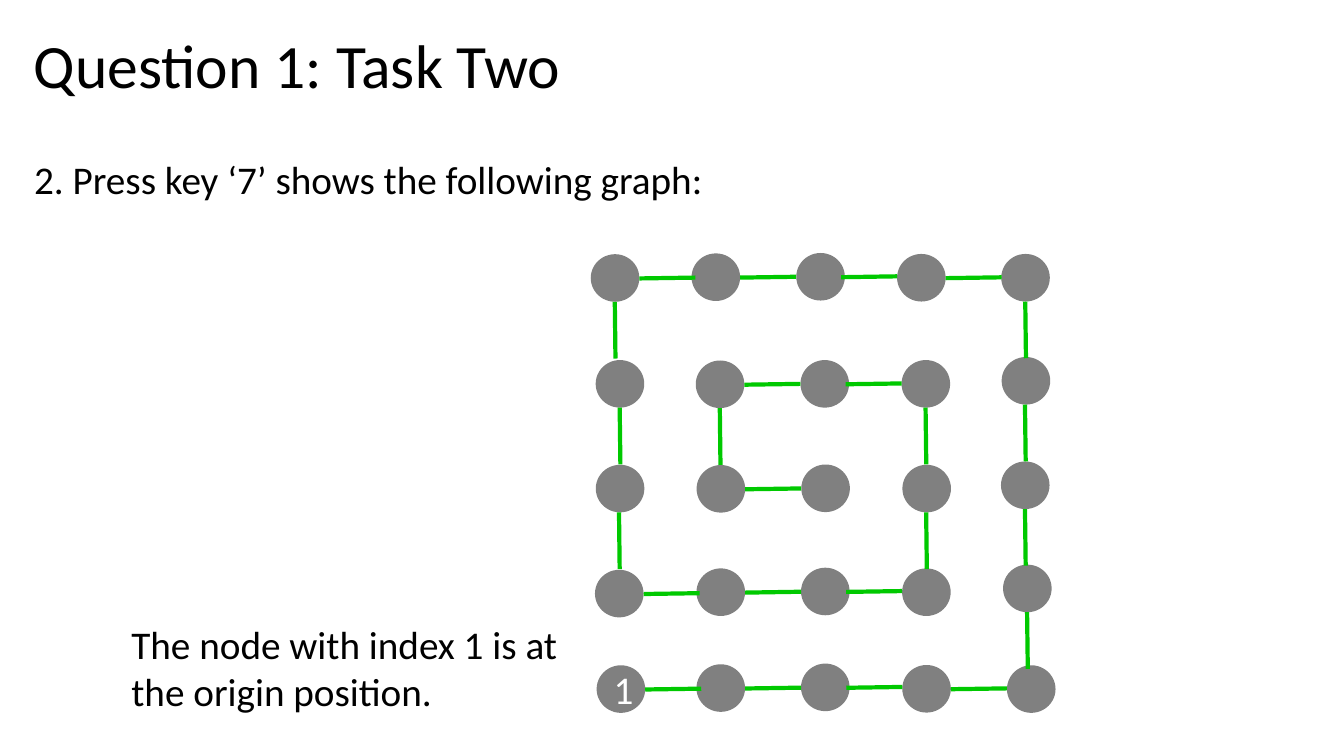
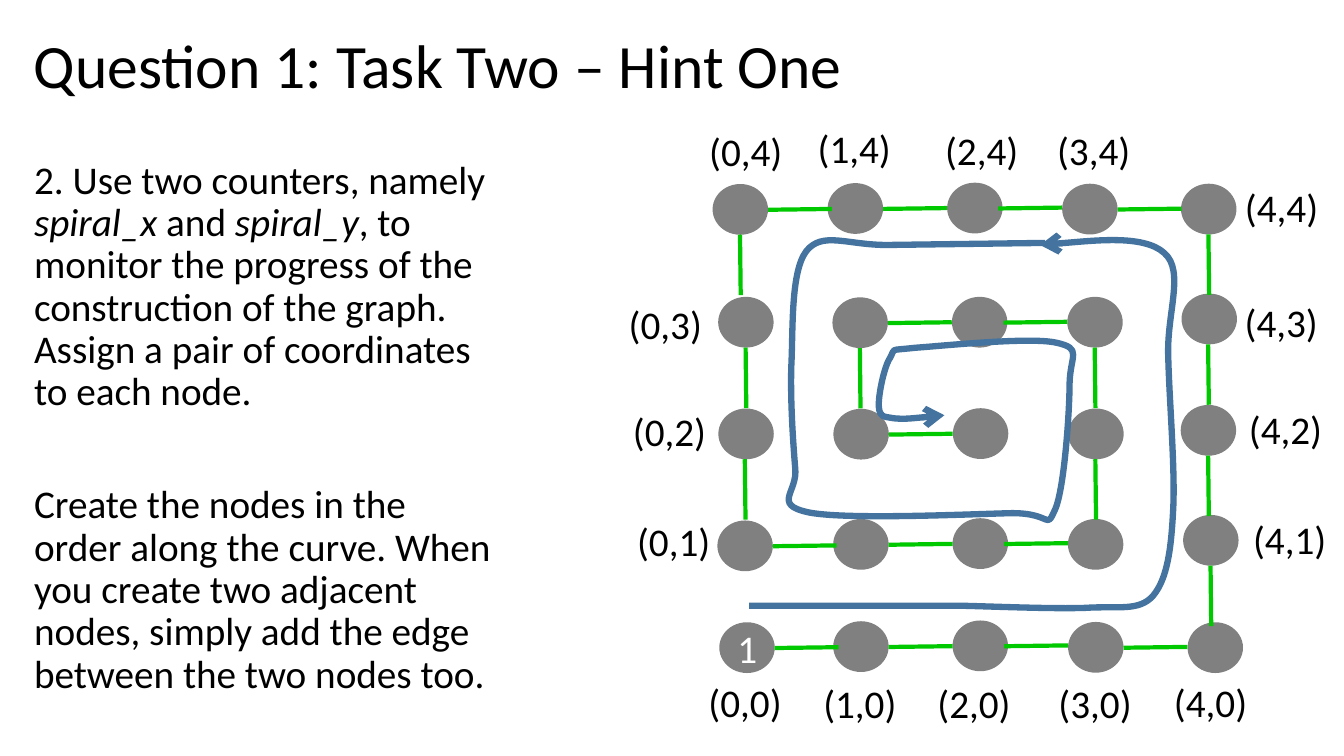
from pptx import Presentation
from pptx.dml.color import RGBColor
from pptx.enum.shapes import MSO_CONNECTOR as LINK, MSO_SHAPE as SHAPE
from pptx.enum.text import MSO_ANCHOR as ANCHOR, MSO_AUTO_SIZE as FIT, PP_ALIGN as ALIGN
from pptx.oxml.ns import qn
from pptx.util import Pt
from lxml import etree

BLACK = RGBColor(0x00, 0x00, 0x00)
WHITE = RGBColor(0xFF, 0xFF, 0xFF)
GREY = RGBColor(0x80, 0x80, 0x80)
GREEN = RGBColor(0x00, 0xC9, 0x00)
BLUE = RGBColor(0x43, 0x73, 0x9E)
FONT = "Calibri"

# Graph grid, bottom row first: lefts and tops of the nodes in each row
ROWS = [
    ((426.2, 497.5, 572.2, 644.5, 719.3), (475.2, 474.5, 474, 475, 475.2)),
    ((425, 497.5, 572.2, 644.4, 716.5), (407, 406, 405.5, 406, 403.3)),
    ((425.6, 497.6, 572.4, 644.6, 715), (332, 332.2, 331.8, 332, 329.6)),
    ((425.5, 497, 571.8, 644, 715.5), (257.2, 257.5, 257.2, 257.2, 255)),
    ((422, 494, 568.8, 640.8, 715.2), (181.6, 181, 180.7, 181.4, 181.4)),
]
WIDE, HIGH = 34.7, 34
LEFT, TOP = 422, 181

# Spiral order of the nodes: step in x, step in y, number of steps
TURNS = [(1, 0, 4), (0, 1, 4), (-1, 0, 4), (0, -1, 3), (1, 0, 3),
         (0, 1, 2), (-1, 0, 2), (0, -1, 1), (1, 0, 1)]
spiral = [(0, 0)]
for dx, dy, count in TURNS:
    for _ in range(count):
        x, y = spiral[-1]
        spiral.append((x + dx, y + dy))


def write(frame, paras, size=28, color=BLACK, lines=1.0, gap=0):
    """Fill a frame with paragraphs, each a list of (text, italic) runs."""
    frame.auto_size = FIT.NONE
    for i, runs in enumerate(paras):
        para = frame.paragraphs[0] if i == 0 else frame.add_paragraph()
        para.alignment = ALIGN.LEFT
        para.line_spacing = lines
        para.space_before = Pt(gap if i else 0)
        for text, slant in runs:
            run = para.add_run()
            run.text = text
            run.font.name, run.font.size = FONT, Pt(size)
            run.font.italic = slant
            run.font.color.rgb = color


def graph(slide, left, top, wide, high):
    """Draw the spiral graph from a top left corner, scaled to the node size."""
    group = slide.shapes.add_group_shape().shapes
    sx, sy = wide / WIDE, high / HIGH
    spots = []
    for col, row in spiral:
        lefts, tops = ROWS[row]
        x = left + (lefts[col] - LEFT) * sx
        y = top + (tops[col] - TOP) * sy
        spots.append((x, y))
        node = group.add_shape(SHAPE.OVAL, Pt(x), Pt(y), Pt(wide), Pt(high))
        node.shadow.inherit = False
        node.fill.solid()
        node.fill.fore_color.rgb = GREY
        node.line.fill.background()
        if (col, row) == (0, 0):
            write(node.text_frame, [[("1", False)]], color=WHITE)
            node.text_frame.paragraphs[0].alignment = ALIGN.CENTER
            node.text_frame.vertical_anchor = ANCHOR.MIDDLE

    # Edges have one length and a slight tilt
    for i, (a, b) in enumerate(zip(spots, spots[1:])):
        (col, row), (col2, row2) = spiral[i:i + 2]
        if row == row2:
            a, b = sorted((a, b))
            start = b[0] - 40 * sx if min(col, col2) == 2 else a[0] + wide
            mid = a[1] + high / 2
            ends = (start, mid + 0.3, start + 40 * sx, mid - 0.3)
        else:
            mid = min(a[0], b[0]) + wide / 2
            rim = min(a[1], b[1]) + high
            ends = (mid + 0.3, rim + 40.5 * sy, mid - 0.2, rim)
        edge = group.add_connector(LINK.STRAIGHT, *[Pt(v) for v in ends])
        edge.line.color.rgb = GREEN
        edge.line.width = Pt(3)
        etree.SubElement(edge._element.spPr, qn("a:effectLst"))


deck = Presentation()
deck.slide_width, deck.slide_height = Pt(960), Pt(540)

# Title and body text of each slide
PAGES = [
    ("Question 1: Task Two", 928,
     [[("2. Press key ‘7’ shows the following graph:", False)]]),
    ("Question 1: Task Two – Hint One", 348.5,
     [[("2. Use two counters, namely ", False), ("spiral_x", True),
       (" and ", False), ("spiral_y", True),
       (", to monitor the progress of the construction of the graph. "
        "Assign a pair of coordinates to each node.", False)],
      [("Create the nodes in the order along the curve. When you create two "
        "adjacent nodes, simply add the edge between the two nodes too.", False)]]),
]
slides = []
for head, span, paras in PAGES:
    slide = deck.slides.add_slide(deck.slide_layouts[5])
    title = slide.shapes.title
    title.left, title.top, title.width, title.height = Pt(17), Pt(-3.2), Pt(828), Pt(104.4)
    title.text_frame.vertical_anchor = ANCHOR.MIDDLE
    write(title.text_frame, [[(head, False)]], size=44, lines=0.9)
    body = slide.shapes.add_textbox(Pt(17.3), Pt(111), Pt(span), Pt(412.5))
    body.text_frame.word_wrap = True
    write(body.text_frame, paras, lines=0.9, gap=50.4)
    slides.append(slide)
task, hint = slides

# Task slide: graph and note on its first node
graph(task, LEFT, TOP, WIDE, HIGH)
note = task.shapes.add_textbox(Pt(86.8), Pt(439.6), Pt(324), Pt(75))
note.text_frame.word_wrap = True
write(note.text_frame, [[("The node with index 1 is at the origin position.", False)]])

# Hint slide: stretched graph with coordinates around it
graph(hint, 509, 130.8, 39.6, 36.25)
LABELS = {
    (0, 0): (499, 481), (1, 0): (581, 481.5), (2, 0): (662.5, 481.5),
    (3, 0): (749, 481.5), (4, 0): (831.5, 481),
    (4, 1): (888, 364.5), (4, 2): (885, 286), (4, 3): (882, 209.5),
    (4, 4): (882.2, 127.7), (3, 4): (748, 87), (2, 4): (668, 86.5),
    (1, 4): (577, 85), (0, 4): (499.5, 87.4),
    (0, 3): (442, 211), (0, 2): (445, 287.5), (0, 1): (448, 366),
}
for (col, row), (x, y) in LABELS.items():
    label = hint.shapes.add_textbox(Pt(x), Pt(y), Pt(67.7), Pt(41))
    label.text_frame.word_wrap = False
    write(label.text_frame, [[(f"({col},{row})", False)]])

# Curved arrows: pairs are straight steps, sixes are Bézier curves
OUTER = [
    (535, 432.7), (613, 432.7), (687.5, 432.7),
    (714, 433.4, 753, 435, 775.4, 434.2),
    (798.5, 432.7, 813.6, 437, 823.7, 425.5),
    (833.8, 413.3, 836.6, 392.4, 838, 363.6),
    (839.5, 335.5, 835.2, 285.8, 834.5, 255.6),
    (833, 224.6, 846.7, 193.7, 831.6, 180.7),
    (816.5, 167, 743, 175, 743, 175),
]
INNER = [
    (746.6, 173.5), (633.6, 175),
    (604.8, 175, 587.5, 165, 576, 179.3),
    (564.5, 194.4, 566.6, 236.2, 565.2, 262),
    (564.5, 288, 566.6, 316.8, 568, 334),
    (570.2, 351.4, 551.5, 360, 576.7, 365.8),
    (602.6, 371.5, 693.4, 367.2, 723, 366.5),
    (752.4, 366.5, 746.6, 379.4, 753.8, 363.6),
    (760.3, 348.5, 764, 293.8, 764, 273.6),
    (764.6, 253.4, 773.3, 249, 754.6, 244.8),
    (735.8, 240.5, 674, 247, 653.8, 248.4),
    (633.6, 250.6, 640, 248.4, 635.8, 255.6),
    (631.4, 262, 627, 283.7, 627.8, 291),
    (628.6, 298, 630.7, 297.4, 638.6, 298.8),
    (646.6, 299.5, 660.2, 298, 674.6, 296.6),
]
for route in (OUTER, INNER):
    dots = [(Pt(part[-2]), Pt(part[-1])) for part in route]
    pen = hint.shapes.build_freeform(*dots[0])
    pen.add_line_segments(dots[1:], close=False)
    curve = pen.convert_to_shape()
    # Bend the straight steps that have control points
    steps = list(curve._element.iter(qn("a:lnTo")))
    for step, part in zip(steps, route[1:]):
        if len(part) == 6:
            step.tag = qn("a:cubicBezTo")
            for i in (0, 2):
                knot = etree.Element(qn("a:pt"), x=str(Pt(part[i]) - curve.left),
                                     y=str(Pt(part[i + 1]) - curve.top))
                step.insert(i // 2, knot)
    curve.shadow.inherit = False
    curve.fill.background()
    curve.line.color.rgb = BLUE
    curve.line.width = Pt(4.5)
    etree.SubElement(curve.line._get_or_add_ln(), qn("a:tailEnd"), type="arrow")

deck.save("out.pptx")
